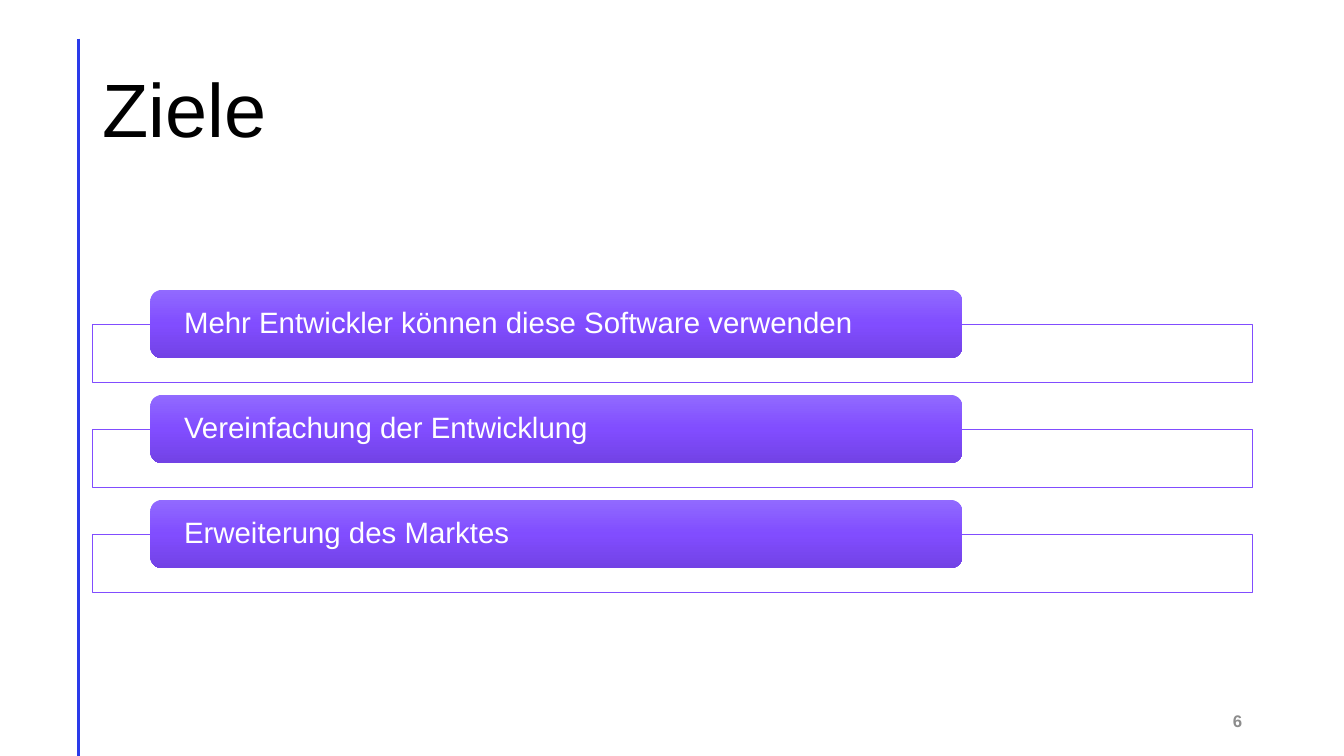
import dataclasses
import typing

import lxml.etree
import pptx
import pptx.dml.color
import pptx.enum.shapes
import pptx.enum.text
import pptx.oxml
import pptx.oxml.ns
import pptx.util

SHAPES = pptx.enum.shapes.MSO_SHAPE
ALIGN = pptx.enum.text.PP_ALIGN
MIDDLE = pptx.enum.text.MSO_ANCHOR.MIDDLE
WIDTH = pptx.util.Inches(13.33)
HEIGHT = pptx.util.Inches(7.5)
COLUMN = WIDTH / 100
ROW = HEIGHT / 100
VIOLET = "814DFF"
BAR_GRADIENT = ((0, "916AFF"), (50, VIOLET), (100, "7242E5"))


@dataclasses.dataclass(frozen=True)
class Area:
    column: float
    row: float
    columns: float
    rows: float

    def shifted(self, rows: float) -> "Area":
        return dataclasses.replace(self, row=self.row + rows)

    def lengths(self) -> tuple[int, int, int, int]:
        return (
            round(self.column * COLUMN),
            round(self.row * ROW),
            round(self.columns * COLUMN),
            round(self.rows * ROW),
        )


@dataclasses.dataclass(frozen=True)
class Goal:
    text: str
    position: int


TITLE_AREA = Area(6.9, 5.33, 86.27, 19.33)
NUMBER_AREA = Area(70.67, 92.67, 22.5, 5.33)
FRAME_AREA = Area(6.9, 42.87, 86.27, 7.73)
BAR_AREA = Area(11.2, 38.35, 60.4, 9.02)
GOAL_PITCH = 13.89
GOALS = (
    Goal("Mehr Entwickler können diese Software verwenden", 0),
    Goal("Vereinfachung der Entwicklung", 1),
    Goal("Erweiterung des Marktes", 2),
)


def color(value: str) -> pptx.dml.color.RGBColor:
    return pptx.dml.color.RGBColor.from_string(value)


def qualified(tag: str) -> str:
    return pptx.oxml.ns.qn(tag)


def write(
    box: typing.Any,
    text: str,
    *,
    size: float,
    ink: str,
    bold: bool = False,
    align: ALIGN = ALIGN.LEFT,
    line_spacing: float = 1.0,
    inset: float = 0.1,
    tracking: float = 0,
) -> None:
    frame = box.text_frame
    frame.word_wrap = True
    frame.auto_size = pptx.enum.text.MSO_AUTO_SIZE.NONE
    frame.vertical_anchor = MIDDLE
    frame.margin_left = frame.margin_right = pptx.util.Inches(inset)
    para = frame.paragraphs[0]
    para.alignment = align
    para.line_spacing = line_spacing
    span = para.add_run()
    span.text = text
    span.font.name = "Arial"
    span.font.size = pptx.util.Pt(size)
    span.font.bold = bold
    span.font.color.rgb = color(ink)
    if tracking:
        span.font._element.set("spc", str(round(tracking * 100)))


def fill_gradient(shape: typing.Any, stops: tuple[tuple[int, str], ...]) -> None:
    shape.fill.gradient()
    shape.fill.gradient_angle = 270
    stop_list = shape._element.spPr.find(".//" + qualified("a:gsLst"))
    for stop in list(stop_list):
        stop_list.remove(stop)
    for percent, value in stops:
        stop = lxml.etree.SubElement(stop_list, qualified("a:gs"), pos=str(percent * 1000))
        lxml.etree.SubElement(stop, qualified("a:srgbClr"), val=value)


def draw_margin_line(page: typing.Any) -> None:
    x = round(5.87 * COLUMN)
    line = page.shapes.add_connector(
        pptx.enum.shapes.MSO_CONNECTOR.STRAIGHT, x, round(5.1 * ROW), x, HEIGHT
    )
    line.line.color.rgb = color("2A3BEA")
    line.line.width = pptx.util.Pt(2)
    lxml.etree.SubElement(line._element.spPr, qualified("a:effectLst"))


def draw_goal(page: typing.Any, goal: Goal) -> None:
    offset = goal.position * GOAL_PITCH
    frame = page.shapes.add_shape(
        SHAPES.RECTANGLE, *FRAME_AREA.shifted(offset).lengths()
    )
    frame.shadow.inherit = False
    frame.fill.solid()
    frame.fill.fore_color.rgb = color("FFFFFF")
    white = frame._element.spPr.find(".//" + qualified("a:srgbClr"))
    lxml.etree.SubElement(white, qualified("a:alpha"), val="90000")
    frame.line.color.rgb = color(VIOLET)
    frame.line.width = pptx.util.Pt(0.5)

    bar = page.shapes.add_shape(
        SHAPES.ROUNDED_RECTANGLE, *BAR_AREA.shifted(offset).lengths()
    )
    bar.shadow.inherit = False
    fill_gradient(bar, BAR_GRADIENT)
    bar.line.fill.background()
    write(bar, goal.text, size=21, ink="FFFFFF", line_spacing=0.9, inset=0.3)


def main() -> None:
    deck = pptx.Presentation()
    deck.slide_width = WIDTH
    deck.slide_height = HEIGHT
    page = deck.slides.add_slide(deck.slide_layouts.get_by_name("Title Only"))

    draw_margin_line(page)
    title = page.shapes.title
    title.left, title.top, title.width, title.height = TITLE_AREA.lengths()
    write(title, "Ziele", size=54, ink="000000", line_spacing=0.9)

    number = page.shapes.add_textbox(*NUMBER_AREA.lengths())
    write(number, "6", size=12, ink="8C8C8C", bold=True, align=ALIGN.RIGHT, tracking=1)
    number.text_frame.paragraphs[0].space_after = pptx.util.Pt(6)

    for goal in GOALS:
        draw_goal(page, goal)
    deck.save("out.pptx")


if __name__ == "__main__":
    main()
